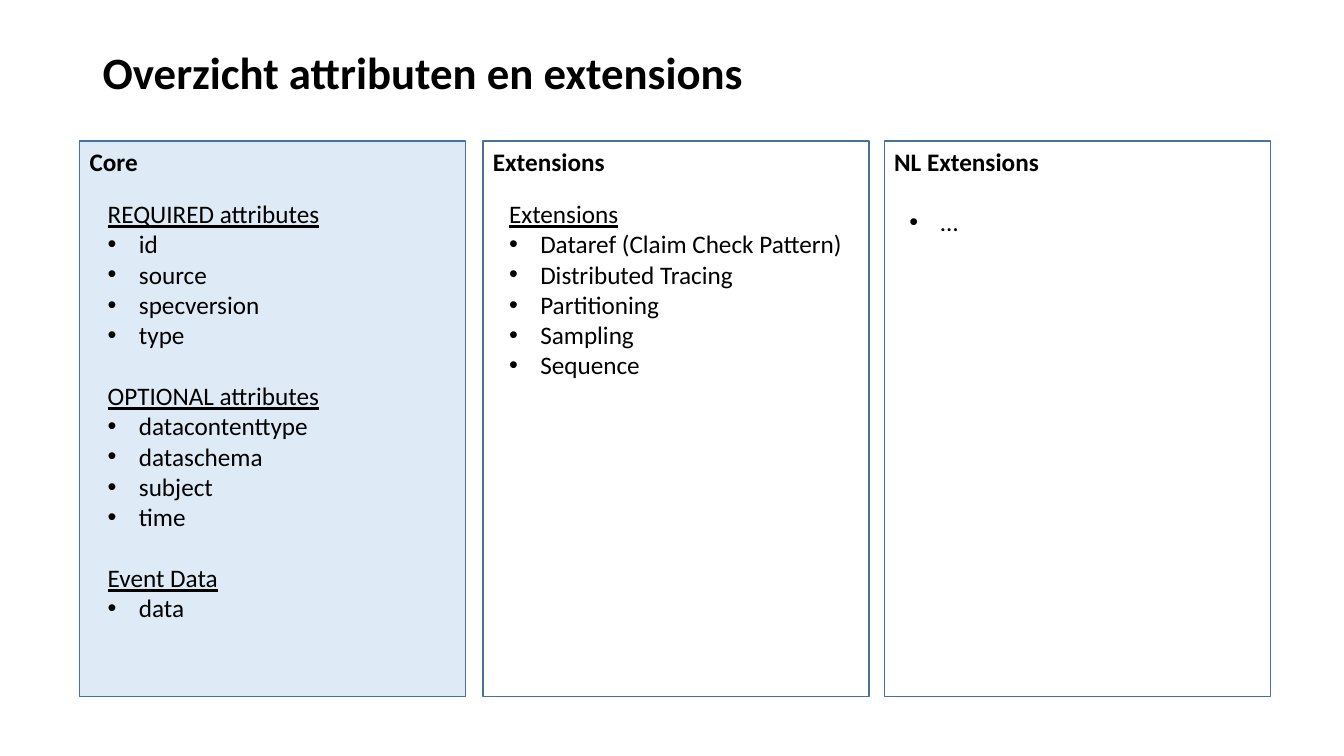
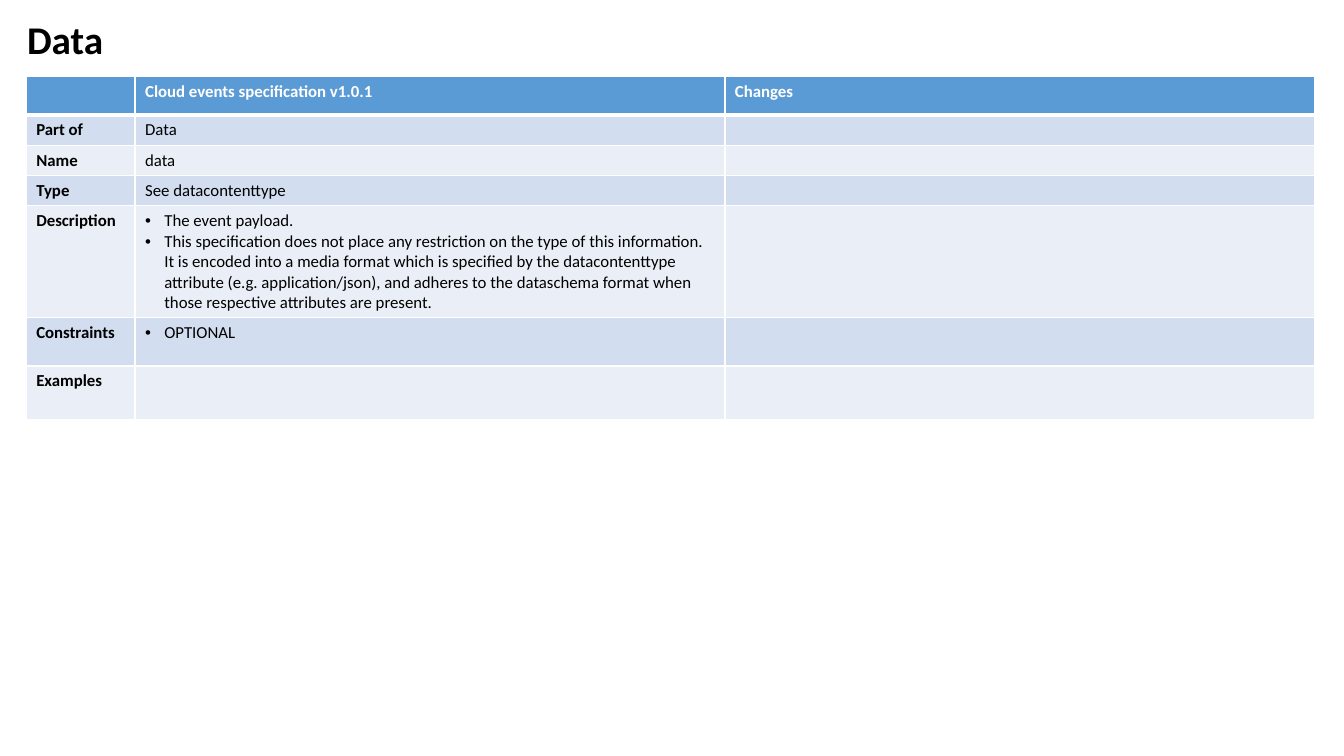
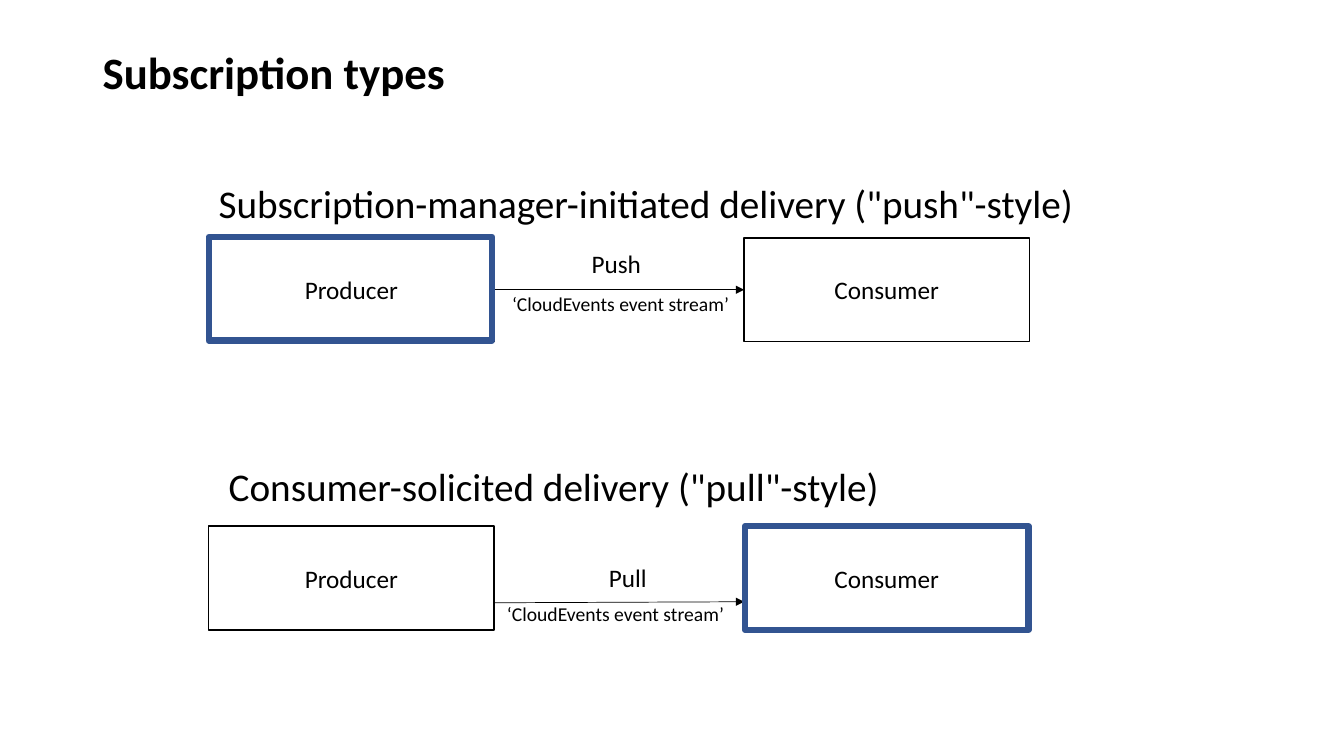
from dataclasses import dataclass
from typing import Optional

from lxml import etree
from pptx import Presentation
from pptx import util as u
from pptx.dml.color import RGBColor
from pptx.enum import shapes, text
from pptx.oxml.ns import qn

SCALE = 9144  # EMU per px, 100 px to the inch
FONT = "Calibri"
COLORS = {
    "ink": "000000",
    "paper": "FFFFFF",
    "core": "DEEBF7",
    "panel_line": "43739E",
    "header": "5B9BD5",
    "band_dark": "D2DEEF",
    "band_light": "EAEFF7",
    "highlight": "325491",
}
TITLE_BOX = (92, 40, 1150, 69)


@dataclass
class Para:
    text: str
    indent: int = 0  # px; above zero gives a bullet
    underline: bool = False
    before: int = 0


@dataclass
class Panel:
    left: int
    heading: str
    fill: str
    list_box: tuple[int, int, int, int]
    paras: list[Para]


@dataclass
class Label:
    text: str
    box: tuple[int, int, int, int]
    size: int


@dataclass
class Delivery:
    top: int
    labels: list[Label]
    highlight: tuple[int, int]
    arrow: Optional[tuple[int, int]] = None  # start and end height; None joins the middles


def px(*lengths: int) -> list[u.Emu]:
    return [u.Emu(length * SCALE) for length in lengths]


def rgb(name: str) -> RGBColor:
    return RGBColor.from_string(COLORS[name])


def write(frame, paras, *, size=18, bold=False, color="ink", align=text.PP_ALIGN.LEFT,
          anchor=text.MSO_ANCHOR.TOP, spacing=None, wrap=True) -> None:
    """Fill a text frame with a string or a list of Para."""
    if isinstance(paras, str):
        paras = [Para(paras)]
    frame.word_wrap = wrap
    frame.vertical_anchor = anchor
    for index, para in enumerate(paras):
        line = frame.paragraphs[0] if index == 0 else frame.add_paragraph()
        line.alignment = align
        if spacing:
            line.line_spacing = spacing
        if para.before:
            line.space_before = u.Pt(para.before)
        if para.indent:
            props = line._p.get_or_add_pPr()
            props.set("marL", str(para.indent * SCALE))
            props.set("indent", str(-para.indent * SCALE))
            etree.SubElement(props, qn("a:buFont"), typeface="Arial")
            etree.SubElement(props, qn("a:buChar"), char="•")
        if not para.text:
            etree.SubElement(line._p, qn("a:endParaRPr"), sz=str(size * 100))
            continue
        run = line.add_run()
        run.text = para.text
        run.font.name = FONT
        run.font.size = u.Pt(size)
        run.font.bold = bold
        run.font.underline = para.underline
        run.font.color.rgb = rgb(color)


def add_label(parts, box: tuple[int, int, int, int], content, **style) -> None:
    write(parts.add_textbox(*px(*box)).text_frame, content, **style)


def add_title(slide, title: str, box=TITLE_BOX, size: int = 32) -> None:
    add_label(slide.shapes, box, title, size=size, bold=True,
              anchor=text.MSO_ANCHOR.MIDDLE, spacing=0.9)


def add_rect(parts, box: tuple[int, int, int, int], line: str, width: float,
             fill: Optional[str] = "paper"):
    rect = parts.add_shape(shapes.MSO_SHAPE.RECTANGLE, *px(*box))
    rect.shadow.inherit = False
    if fill:
        rect.fill.solid()
        rect.fill.fore_color.rgb = rgb(fill)
    else:
        rect.fill.background()
    rect.line.color.rgb = rgb(line)
    rect.line.width = u.Pt(width)
    return rect


def add_arrow(parts, start: tuple[int, int], end: tuple[int, int]):
    arrow = parts.add_connector(shapes.MSO_CONNECTOR.STRAIGHT, *px(*start, *end))
    arrow.line.color.rgb = rgb("ink")
    arrow.line.width = u.Pt(0.5)
    props = arrow._element.spPr
    etree.SubElement(props.find(qn("a:ln")), qn("a:tailEnd"), type="triangle")
    etree.SubElement(props, qn("a:effectLst"))
    return arrow


# Overview of attributes and extensions
def bullets(*names: str, indent: int = 31) -> list[Para]:
    return [Para(name, indent) for name in names]


PANELS = [
    Panel(79, "Core", "core", (97, 192, 233, 434), [
        Para("REQUIRED attributes", underline=True),
        *bullets("id", "source", "specversion", "type"),
        Para("OPTIONAL attributes", underline=True, before=22),
        *bullets("datacontenttype", "dataschema", "subject", "time"),
        Para("Event Data", underline=True, before=22),
        *bullets("data"),
    ]),
    Panel(479, "Extensions", "paper", (495, 192, 355, 252), [
        Para("Extensions", underline=True),
        *bullets("Dataref (Claim Check Pattern)", "Distributed Tracing",
                 "Partitioning", "Sampling", "Sequence"),
    ]),
    Panel(877, "NL Extensions", "paper", (892, 200, 69, 101), bullets("…")),
]


def build_overview(slide) -> None:
    add_title(slide, "Overzicht attributen en extensions")
    for panel in PANELS:
        rect = add_rect(slide.shapes, (panel.left, 140, 383, 551), "panel_line", 1, panel.fill)
        write(rect.text_frame, panel.heading, bold=True)
        add_label(slide.shapes, panel.list_box, panel.paras, wrap=False)


# Specification of the data attribute
COLUMN_WIDTHS = (108, 585, 585)
ROW_HEIGHTS = (38, 30, 30, 30, 111, 48, 53)
SPEC_ROWS = [
    ("", "Cloud events specification v1.0.1", ""),
    ("Part of", "Data", ""),
    ("Name", "data", ""),
    ("Type", "See datacontenttype", ""),
    ("Description", bullets(
        "The event payload.",
        "This specification does not place any restriction on the type of this information. "
        "It is encoded into a media format which is specified by the datacontenttype attribute "
        "(e.g. application/json), and adheres to the dataschema format when those respective "
        "attributes are present.", indent=19), ""),
    ("Constraints", bullets("OPTIONAL", indent=19), ""),
    ("Examples", "", ""),
]
SPEC_ROWS[0] = SPEC_ROWS[0][:2] + ("Changes",)


def style_cell(cell, fill: str, top: int, bottom: int) -> None:
    props = cell._tc.get_or_add_tcPr()
    for side, width in (("L", 1), ("R", 1), ("T", top), ("B", bottom)):
        edge = etree.SubElement(props, qn(f"a:ln{side}"), w=str(u.Pt(width)))
        paint = etree.SubElement(edge, qn("a:solidFill"))
        etree.SubElement(paint, qn("a:srgbClr"), val=COLORS["paper"])
    cell.fill.solid()
    cell.fill.fore_color.rgb = rgb(fill)


def build_data(slide) -> None:
    add_title(slide, "Data", (17, 7, 595, 69), 28)
    table = slide.shapes.add_table(
        len(ROW_HEIGHTS), len(COLUMN_WIDTHS),
        *px(26, 76, sum(COLUMN_WIDTHS), sum(ROW_HEIGHTS))).table
    table.first_row = table.horz_banding = False
    for column, width in zip(table.columns, px(*COLUMN_WIDTHS)):
        column.width = width
    for r, (row, height) in enumerate(zip(table.rows, px(*ROW_HEIGHTS))):
        row.height = height
        fill = "header" if r == 0 else "band_dark" if r % 2 else "band_light"
        for c, content in enumerate(SPEC_ROWS[r]):
            cell = table.cell(r, c)
            style_cell(cell, fill, 3 if r == 1 else 1, 3 if r == 0 else 1)
            write(cell.text_frame, content, size=12, bold=r == 0 or c == 0,
                  color="paper" if r == 0 else "ink")


# Subscription types
PRODUCER_LEFT, CONSUMER_LEFT = 207, 738
BOX_WIDTH, BOX_HEIGHT = 283, 103
STREAM = "‘CloudEvents event stream’"
DELIVERIES = [
    Delivery(236, [
        Label("Push", (577, 241, 76, 40), 18),
        Label(STREAM, (498, 285, 242, 34), 14),
        Label('Subscription-manager-initiated delivery ("push"-style)', (207, 182, 970, 51), 28),
    ], (207, 235)),
    Delivery(522, [
        Label("Pull", (594, 553, 64, 40), 18),
        Label(STREAM, (493, 592, 242, 34), 14),
        Label('Consumer-solicited delivery ("pull"-style)', (217, 463, 892, 51), 28),
    ], (739, 522), (598, 597)),
]


def add_delivery(parts, delivery: Delivery) -> None:
    parties = []
    for left, name in ((PRODUCER_LEFT, "Producer"), (CONSUMER_LEFT, "Consumer")):
        party = add_rect(parts, (left, delivery.top, BOX_WIDTH, BOX_HEIGHT), "ink", 1)
        write(party.text_frame, name, align=text.PP_ALIGN.CENTER,
              anchor=text.MSO_ANCHOR.MIDDLE)
        parties.append(party)
    middle = delivery.top + BOX_HEIGHT // 2
    start, end = delivery.arrow or (middle, middle)
    arrow = add_arrow(parts, (PRODUCER_LEFT + BOX_WIDTH, start), (CONSUMER_LEFT, end))
    if delivery.arrow is None:
        producer, consumer = parties
        arrow.begin_connect(producer, 3)
        arrow.end_connect(consumer, 1)
    for label in delivery.labels:
        add_label(parts, label.box, label.text, size=label.size,
                  spacing=0.8 if label.size == 28 else None)


def build_subscriptions(slide) -> None:
    add_title(slide, "Subscription types")
    for delivery in DELIVERIES:
        add_delivery(slide.shapes.add_group_shape().shapes, delivery)
    for delivery in DELIVERIES:
        add_rect(slide.shapes, (*delivery.highlight, 281, BOX_HEIGHT), "highlight", 4.5, None)


def main() -> None:
    deck = Presentation()
    deck.slide_width, deck.slide_height = px(1333, 750)
    blank = deck.slide_layouts[6]
    for build in (build_overview, build_data, build_subscriptions):
        build(deck.slides.add_slide(blank))
    deck.save("out.pptx")


if __name__ == "__main__":
    main()
